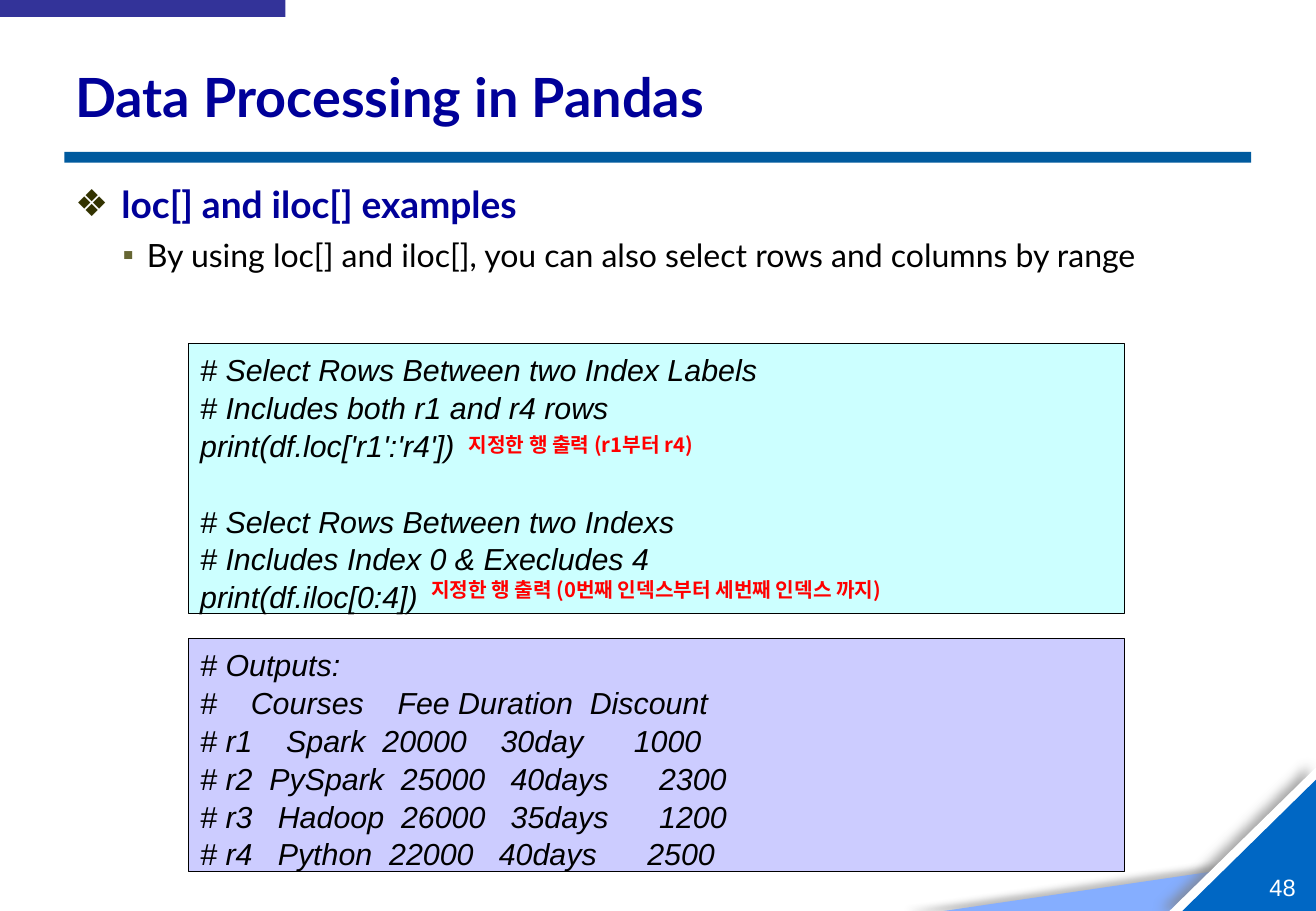
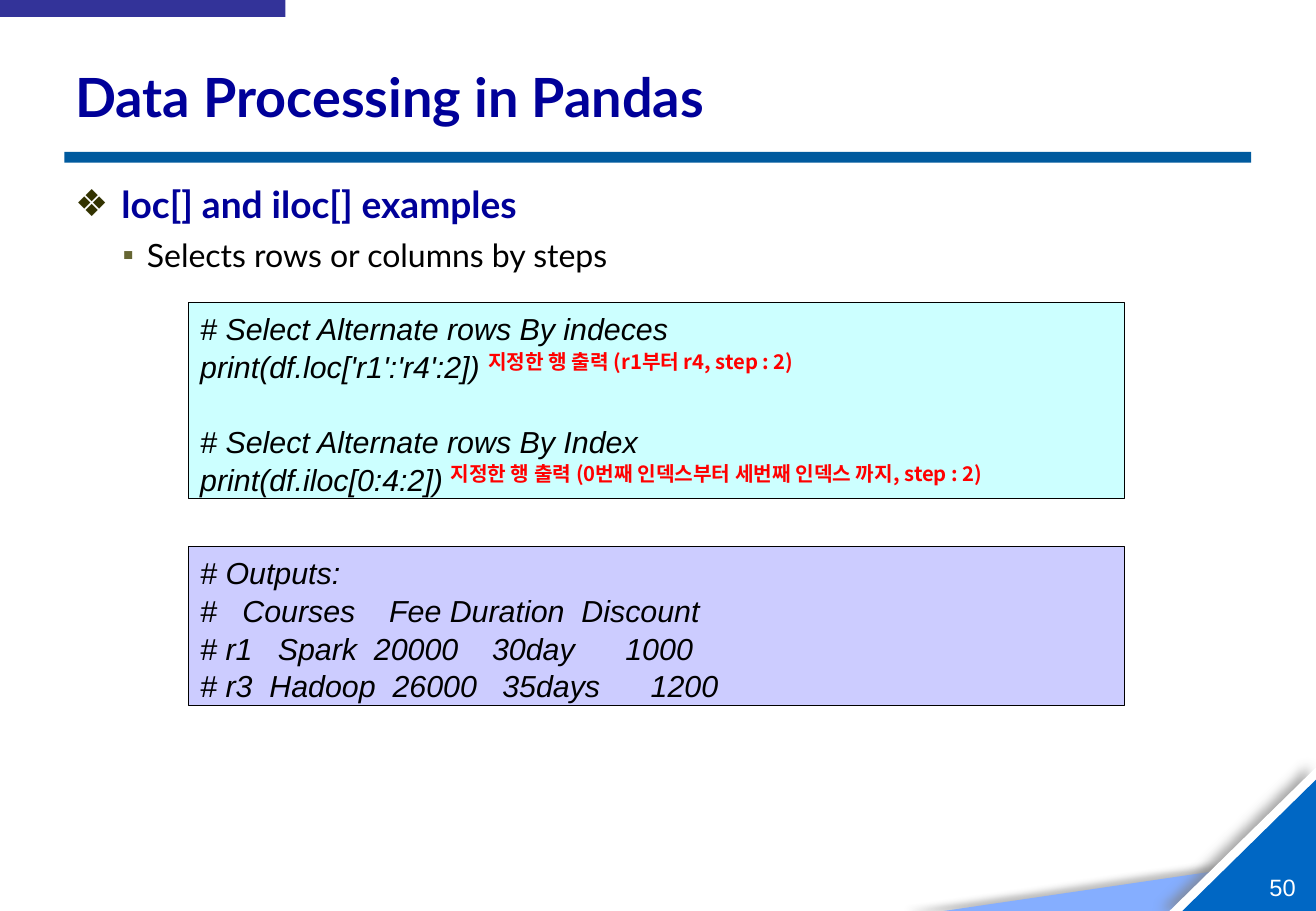
from lxml import etree
from pptx import Presentation
from pptx.dml.color import RGBColor
from pptx.enum.shapes import MSO_SHAPE
from pptx.enum.text import MSO_ANCHOR, MSO_AUTO_SIZE, PP_ALIGN
from pptx.oxml.ns import qn
from pptx.util import Pt

RECTANGLE, TRIANGLE = MSO_SHAPE.RECTANGLE, MSO_SHAPE.RIGHT_TRIANGLE
LEFT, TOP, MIDDLE = PP_ALIGN.LEFT, MSO_ANCHOR.TOP, MSO_ANCHOR.MIDDLE
NO_FIT = MSO_AUTO_SIZE.NONE

NAVY, BLACK, WHITE, RED = "000099", "000000", "FFFFFF", "FF0000"
CODE_FILL, OUTPUT_FILL = "CCFFFF", "CCCCFF"
CODE_LEFT, CODE_WIDTH = 111.6, 555.1
CODE_LINE, CODE_MARGIN = 21.8, 7.2

TITLE_STYLE = {"name": "Lato", "size": Pt(32), "bold": True}
HEADING_STYLE = {"name": "Lato", "size": Pt(22), "bold": True}
POINT_STYLE = {"name": "Lato", "size": Pt(19), "bold": False}
CODE_STYLE = {"name": "Arial", "size": Pt(18), "italic": True}
NOTE_STYLE = {"name": "Noto Sans CJK KR", "size": Pt(12), "bold": True}
NUMBER_STYLE = {"name": "Arial", "size": Pt(14)}

# bullet, bullet colour, style, text colour, left margin, hanging indent, spacing
LIST_LEVELS = [
    ("❖", "333300", HEADING_STYLE, NAVY, 27.4, 27.4,
     {"space_before": Pt(0), "space_after": Pt(0)}),
    ("▪", "666633", POINT_STYLE, BLACK, 42.5, 14.4,
     {"space_before": Pt(3.8), "space_after": Pt(1), "line_spacing": 1.1}),
]

# preset, left, top, width, height, fill, shadow (colour, opacity, blur, distance, angle)
DECORATIONS = [
    (TRIANGLE, 559.4, 507.6, 220.6, 32.4, "85AEFF", ("595959", 40, 4, 22, 180)),
    (TRIANGLE, 693.2, 455, 86.8, 85, WHITE, ("808080", 69, 7, 5, 190)),
    (TRIANGLE, 700.8, 462.2, 79.2, 77.8, "0067C4", None),
    (RECTANGLE, 38.2, 90, 703.4, 6.5, "005A9E", None),
    (RECTANGLE, 0, 0, 169.2, 10.1, "333399", None),
]

PAGES = [
    {
        "number": "48",
        "point": "By using loc[] and iloc[], you can also select rows and columns by range",
        "code": (203.8, [
            "# Select Rows Between two Index Labels",
            "# Includes both r1 and r4 rows",
            "print(df.loc['r1':'r4'])",
            "",
            "# Select Rows Between two Indexs",
            "# Includes Index 0 & Execludes 4",
            "print(df.iloc[0:4])",
        ]),
        "output": (378.7, [
            "# Outputs:",
            "#    Courses    Fee Duration  Discount",
            "# r1    Spark  20000    30day      1000",
            "# r2  PySpark  25000   40days      2300",
            "# r3   Hadoop  26000   35days      1200",
            "# r4   Python  22000   40days      2500",
        ]),
        "notes": [
            (270.7, 252.7, 175, "지정한 행 출력 (r1부터 r4)"),
            (248.4, 338.4, 334.8, "지정한 행 출력 (0번째 인덱스부터 세번째 인덱스 까지)"),
        ],
    },
    {
        "number": "50",
        "point": "Selects rows or columns by steps",
        "code": (179.3, [
            "# Select Alternate rows By indeces",
            "print(df.loc['r1':'r4':2])",
            "",
            "# Select Alternate rows By Index",
            "print(df.iloc[0:4:2])",
        ]),
        "output": (324, [
            "# Outputs:",
            "#   Courses    Fee Duration  Discount",
            "# r1   Spark  20000    30day      1000",
            "# r3  Hadoop  26000   35days      1200",
        ]),
        "notes": [
            (282.2, 203.8, 238.3, "지정한 행 출력 (r1부터 r4, step : 2)"),
            (259.9, 270, 380.2, "지정한 행 출력 (0번째 인덱스부터 세번째 인덱스 까지, step : 2)"),
        ],
    },
]


def rgb(value):
    return RGBColor.from_string(value)


def write(para, text, style, colour):
    """Add a formatted span, with its font also used for East Asian letters."""
    span = para.add_run()
    span.text = text
    for name, value in style.items():
        setattr(span.font, name, value)
    span.font.color.rgb = rgb(colour)
    properties = span.font.name and span._r.get_or_add_rPr()
    east_asian = etree.Element(qn("a:ea"), typeface=style["name"])
    properties.find(qn("a:latin")).addnext(east_asian)


deck = Presentation()
deck.slide_width, deck.slide_height = Pt(780), Pt(540)
layout = deck.slide_layouts[1]

# Layout: title and body places, and the decoration behind them
title_place, body_place, *footer_places = layout.placeholders
for place in footer_places:
    place.element.getparent().remove(place.element)
for place, top, height in ((title_place, 28.8, 56.2), (body_place, 103.7, 413.3)):
    place.left, place.top = Pt(37.4), Pt(top)
    place.width, place.height = Pt(703.4), Pt(height)

slides = [deck.slides.add_slide(layout) for page in PAGES]

for order, (preset, left, top, width, height, fill, shadow) in enumerate(DECORATIONS):
    shape = slides[0].shapes.add_shape(preset, Pt(left), Pt(top), Pt(width), Pt(height))
    shape.shadow.inherit = False
    shape.fill.solid()
    shape.fill.fore_color.rgb = rgb(fill)
    shape.line.fill.background()
    properties = shape.element.spPr
    if preset == TRIANGLE:
        properties.find(qn("a:xfrm")).set("flipH", "1")
    if shadow:
        colour, opacity, blur, distance, angle = shadow
        outer = etree.SubElement(
            properties.find(qn("a:effectLst")), qn("a:outerShdw"),
            blurRad=str(Pt(blur)), dist=str(Pt(distance)),
            dir=str(angle * 60000), algn="ctr", rotWithShape="0")
        tint = etree.SubElement(outer, qn("a:srgbClr"), val=colour)
        etree.SubElement(tint, qn("a:alpha"), val=str(opacity * 1000))
    # The first two children of a shape tree are its own properties
    layout.shapes.element.insert(2 + order, shape.element)

for slide, page in zip(slides, PAGES):
    title_frame = slide.shapes.title.text_frame
    title_frame.auto_size = NO_FIT
    title_frame.vertical_anchor = MIDDLE
    title_frame.paragraphs[0].alignment = LEFT
    write(title_frame.paragraphs[0], "Data Processing in Pandas", TITLE_STYLE, NAVY)

    body_frame = slide.placeholders[1].text_frame
    body_frame.auto_size = NO_FIT
    for level, text in enumerate(["loc[] and iloc[] examples", page["point"]]):
        bullet, bullet_colour, style, colour, margin, hanging, spacing = LIST_LEVELS[level]
        para = body_frame.add_paragraph() if level else body_frame.paragraphs[0]
        para.level = level
        properties = para._p.get_or_add_pPr()
        properties.set("marL", str(Pt(margin)))
        properties.set("indent", str(-Pt(hanging)))
        tint = etree.SubElement(properties, qn("a:buClr"))
        etree.SubElement(tint, qn("a:srgbClr"), val=bullet_colour)
        etree.SubElement(properties, qn("a:buChar"), char=bullet)
        for name, value in spacing.items():
            setattr(para, name, value)
        write(para, text, style, colour)

    for (top, lines), fill in ((page["code"], CODE_FILL), (page["output"], OUTPUT_FILL)):
        height = len(lines) * CODE_LINE + CODE_MARGIN
        box = slide.shapes.add_shape(
            RECTANGLE, Pt(CODE_LEFT), Pt(top), Pt(CODE_WIDTH), Pt(height))
        box.shadow.inherit = False
        box.fill.solid()
        box.fill.fore_color.rgb = rgb(fill)
        box.line.color.rgb = rgb(BLACK)
        box.line.width = Pt(0.75)
        box.text_frame.word_wrap = True
        box.text_frame.vertical_anchor = TOP
        for index, line in enumerate(lines):
            para = box.text_frame.add_paragraph() if index else box.text_frame.paragraphs[0]
            para.alignment = LEFT
            para.line_spacing = 1.04
            if line:
                write(para, line, CODE_STYLE, BLACK)
            else:
                para.font.size = CODE_STYLE["size"]

    for left, top, width, text in page["notes"]:
        box = slide.shapes.add_textbox(Pt(left), Pt(top), Pt(width), Pt(21.6))
        box.text_frame.word_wrap = True
        write(box.text_frame.paragraphs[0], text, NOTE_STYLE, RED)

    number_frame = slide.shapes.add_textbox(Pt(752.4), Pt(517), Pt(18), Pt(17.3)).text_frame
    for side in ("left", "top", "right", "bottom"):
        setattr(number_frame, f"margin_{side}", 0)
    number_frame.word_wrap = False
    number_frame.vertical_anchor = MIDDLE
    write(number_frame.paragraphs[0], page["number"], NUMBER_STYLE, WHITE)

deck.save("out.pptx")
